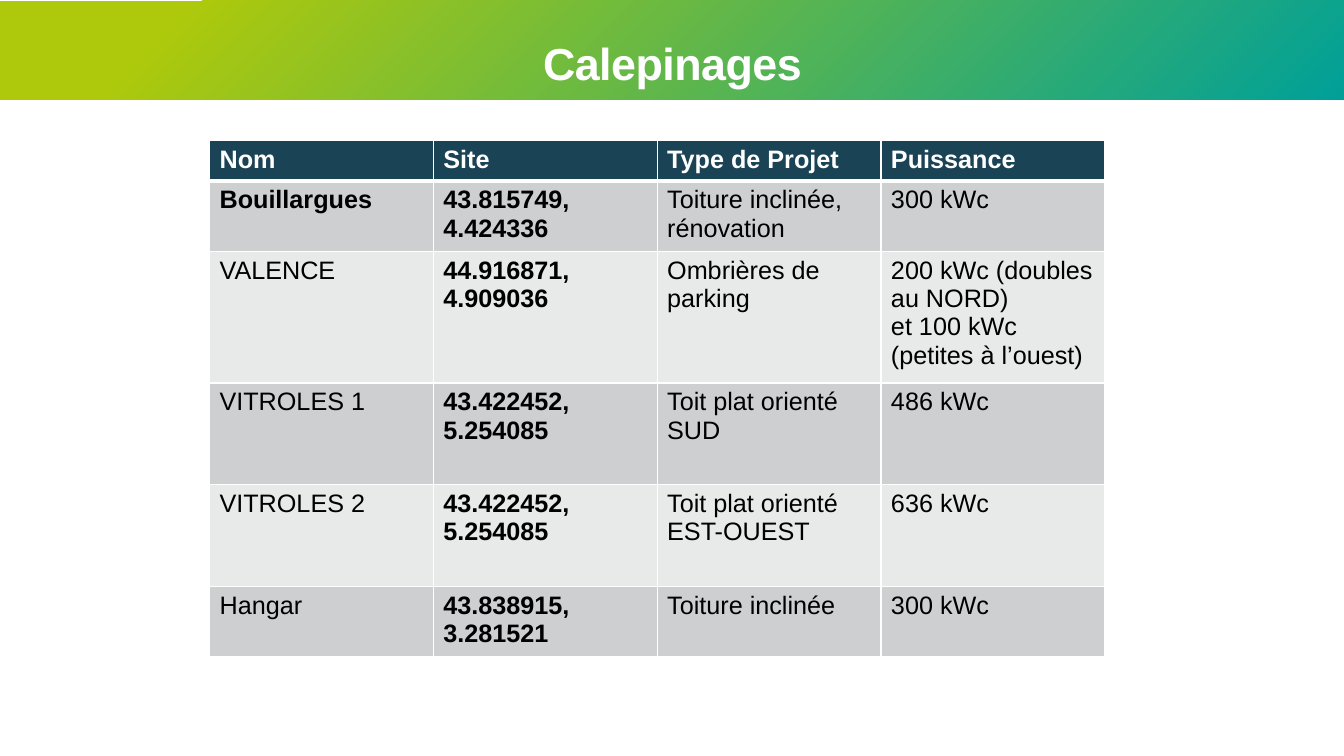
import pptx
import pptx.dml.color
import pptx.enum.shapes
import pptx.enum.text
import pptx.oxml
import pptx.oxml.ns
import pptx.util

Cm = pptx.util.Cm
Pt = pptx.util.Pt

# Content
TITLE = "Calepinages"
PROJECTS = [
    ("Nom", "Site", "Type de Projet", "Puissance"),
    ("Bouillargues", "43.815749, 4.424336", "Toiture inclinée, rénovation", "300 kWc"),
    ("VALENCE", "44.916871, 4.909036", "Ombrières de parking",
     "200 kWc (doubles au NORD)\net 100 kWc (petites à l’ouest)"),
    ("VITROLES 1", "43.422452, 5.254085", "Toit plat orienté SUD", "486 kWc"),
    ("VITROLES 2", "43.422452, 5.254085", "Toit plat orienté EST-OUEST", "636 kWc"),
    ("Hangar", "43.838915, 3.281521", "Toiture inclinée", "300 kWc"),
]
ROW_HEIGHTS = [1.02, 1.78, 3.31, 2.56, 2.56, 1.78]
COLUMN_WIDTH = 5.64
SITE_COLUMN = 1
FONT = "Arial"
COLORS = {
    "lime": "AEC90B",
    "teal": "00A099",
    "header": "1B4356",
    "odd": "CDCFD1",
    "even": "E8E9E9",
    "white": "FFFFFF",
    "black": "000000",
}


def rgb(name):
    return pptx.dml.color.RGBColor.from_string(COLORS[name])


def format_runs(text_frame, size, color, bold):
    for paragraph in text_frame.paragraphs:
        for run in paragraph.runs:
            run.font.name = FONT
            run.font.size = Pt(size)
            run.font.bold = bold
            run.font.color.rgb = rgb(color)


def set_borders(cell, widths):
    properties = cell._tc.get_or_add_tcPr()
    namespace = pptx.oxml.ns.nsdecls("a")
    for position, (side, width) in enumerate(widths.items()):
        line = pptx.oxml.parse_xml(
            f'<a:{side} {namespace} w="{Pt(width)}"><a:solidFill>'
            f'<a:srgbClr val="{COLORS["white"]}"/></a:solidFill></a:{side}>')
        properties.insert(position, line)


presentation = pptx.Presentation()
presentation.slide_width = Cm(33.87)
presentation.slide_height = Cm(19.05)
slide = presentation.slides.add_slide(presentation.slide_layouts[6])

# Gradient band
band = slide.shapes.add_shape(
    pptx.enum.shapes.MSO_SHAPE.RECTANGLE, 0, Cm(0.02), presentation.slide_width, Cm(2.5))
band.shadow.inherit = False
band.line.fill.background()
band.fill.gradient()
band.fill.gradient_angle = 315
for stop, (color, position) in zip(band.fill.gradient_stops, [("lime", 0.13), ("teal", 1)]):
    stop.color.rgb = rgb(color)
    stop.position = position

# Title
title_box = slide.shapes.add_textbox(Cm(2.77), Cm(0.89), Cm(28.35), Cm(1.3))
title_frame = title_box.text_frame
title_frame.word_wrap = True
title_frame.margin_left = title_frame.margin_right = 0
title_frame.margin_top = title_frame.margin_bottom = 0
title_frame.text = TITLE
title_frame.paragraphs[0].alignment = pptx.enum.text.PP_ALIGN.CENTER
format_runs(title_frame, 32, "white", True)
title_frame.paragraphs[0].runs[0].font._element.set("spc", "-40")

# Project table
column_count = len(PROJECTS[0])
table = slide.shapes.add_table(
    len(PROJECTS), column_count, Cm(5.28), Cm(3.54),
    Cm(COLUMN_WIDTH * column_count), Cm(sum(ROW_HEIGHTS))).table
for column in table.columns:
    column.width = Cm(COLUMN_WIDTH)
for row_index, (project, height) in enumerate(zip(PROJECTS, ROW_HEIGHTS)):
    table.rows[row_index].height = Cm(height)
    is_header = row_index == 0
    fill = "header" if is_header else ("odd" if row_index % 2 else "even")
    for column_index, text in enumerate(project):
        cell = table.cell(row_index, column_index)
        cell.text_frame.text = text
        first_name = row_index == 1 and column_index == 0
        bold = is_header or first_name or column_index == SITE_COLUMN
        format_runs(cell.text_frame, 18, "white" if is_header else "black", bold)
        cell.fill.solid()
        cell.fill.fore_color.rgb = rgb(fill)
        set_borders(cell, {"lnL": 1, "lnR": 1,
                           "lnT": 3 if row_index == 1 else 1,
                           "lnB": 3 if is_header else 1})

presentation.save("out.pptx")
